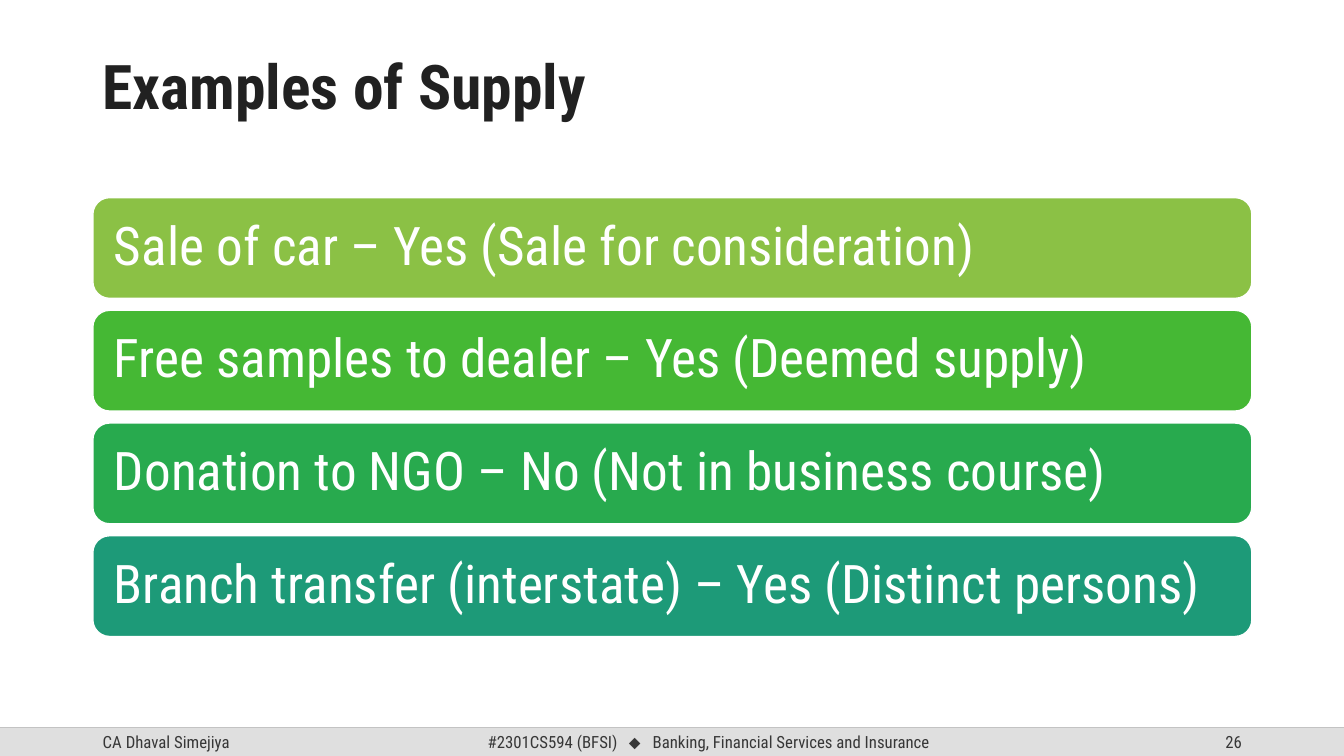
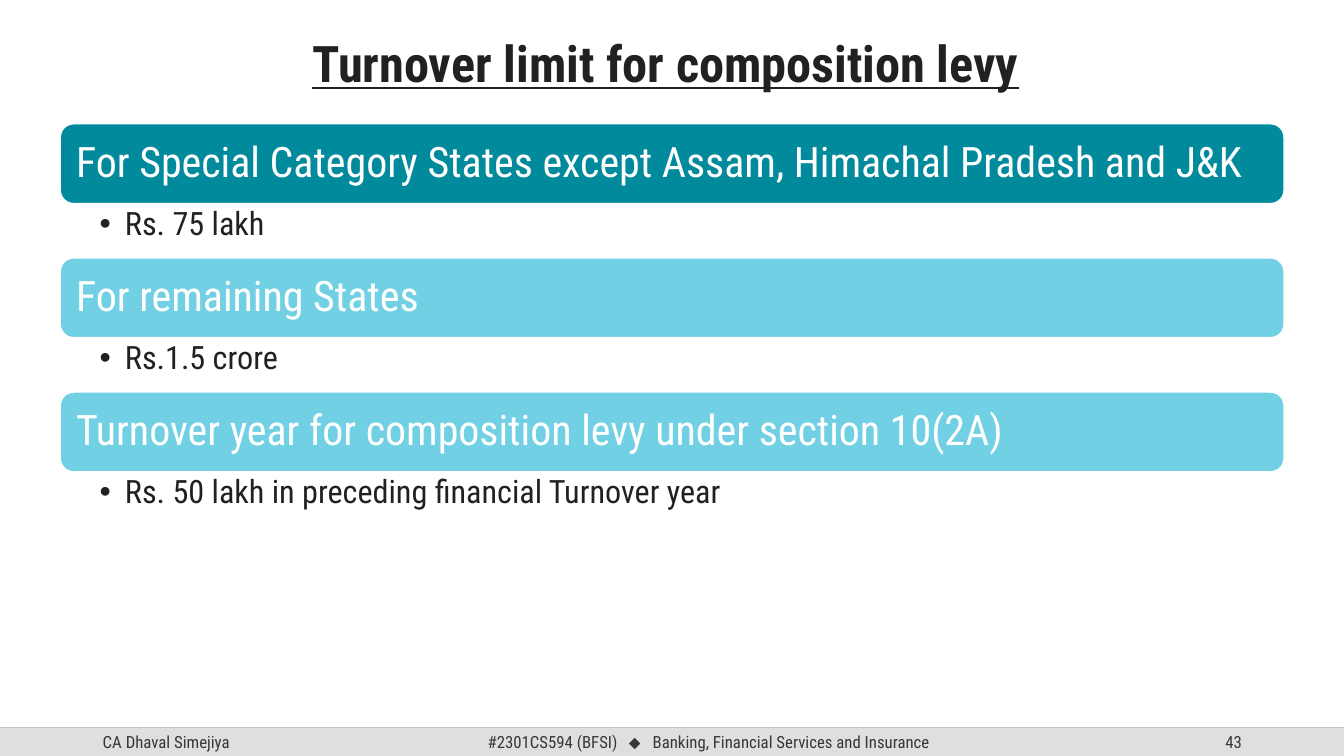
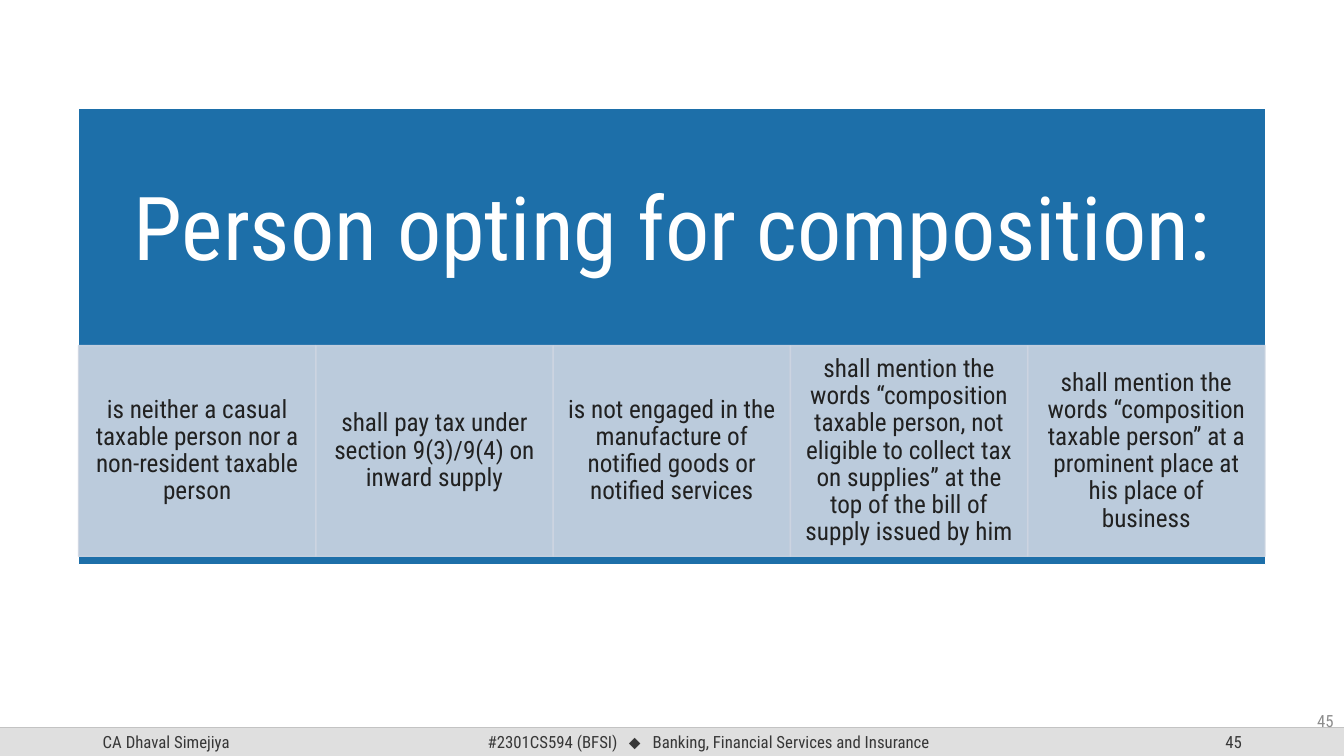
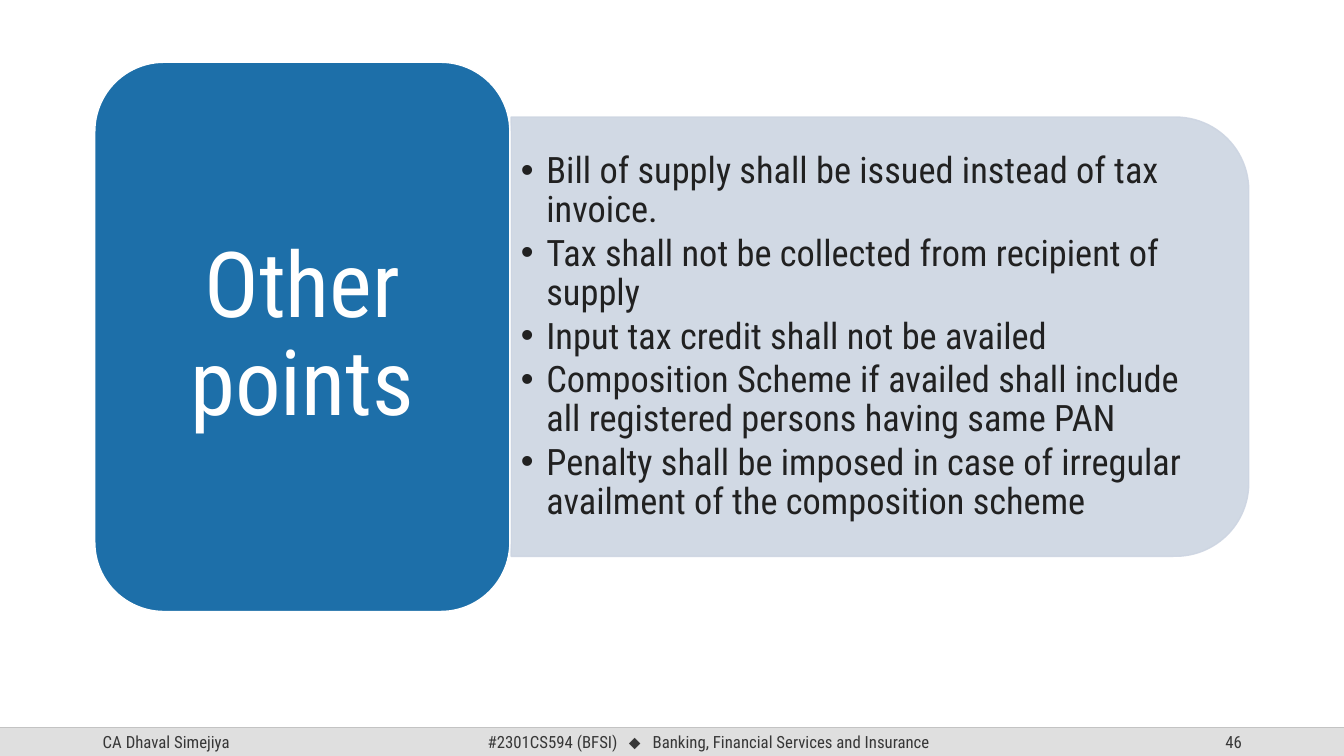
"""Build four slides on supply and the composition levy."""
from lxml.etree import SubElement as Sub
from pptx import Presentation
from pptx.dml.color import RGBColor
from pptx.enum.shapes import MSO_CONNECTOR as Link, MSO_SHAPE as Kind
from pptx.enum.text import MSO_ANCHOR as Anchor, PP_ALIGN as Align
from pptx.oxml.ns import qn
from pptx.util import Cm, Pt

FONT = "Roboto Condensed"
WHITE, INK, GREY, PALE, BLUE = "FFFFFF", "212121", "373737", "CDD5E2", "1D6FA9"
WIDE, HIGH, FOOT = 33.87, 19.05, 18.34
hue = RGBColor.from_string


def draw(slide, kind, at, fill, line=None, alpha=None):
    """Add a filled shape, with an outline and opacity if given."""
    shape = slide.shapes.add_shape(kind, *map(Cm, at))
    shape.shadow.inherit = False
    shape.fill.solid()
    shape.fill.fore_color.rgb = hue(fill)
    if line:
        shape.line.color.rgb = hue(line)
        shape.line.width = Pt(1)
    else:
        shape.line.fill.background()
    if alpha:
        for tint in shape._element.spPr.iter(qn("a:srgbClr")):
            Sub(tint, qn("a:alpha"), val=str(alpha * 1000))
    return shape


def write(shape, lines, size, color, align=Align.LEFT, inset=(0.25, 0.13),
          anchor=Anchor.MIDDLE, bullet=False, face=FONT, space=0.9):
    """Fill a shape with styled paragraphs and return its text frame."""
    frame = shape.text_frame
    frame.word_wrap = True
    frame.vertical_anchor = anchor
    frame.margin_left = frame.margin_right = Cm(inset[0])
    frame.margin_top = frame.margin_bottom = Cm(inset[1])
    frame.text = "\n".join(lines)
    for para in frame.paragraphs:
        para.alignment = align
        para.line_spacing = space
        if bullet:
            para.space_after = Pt(3)
            props = para._p.get_or_add_pPr()
            props.set("marL", str(Cm(0.64)))
            props.set("indent", str(Cm(-0.64)))
            Sub(props, qn("a:buFont"), typeface="Arial")
            Sub(props, qn("a:buChar"), char="•")
        para.font.name = face
        para.font.size = Pt(size)
        para.font.color.rgb = hue(color)
    return frame


deck = Presentation()
deck.slide_width, deck.slide_height = Cm(WIDE), Cm(HIGH)
pages = []
for number in (26, 43, 45, 46):
    page = deck.slides.add_slide(deck.slide_layouts[6])
    pages.append(page)
    rule = page.shapes.add_connector(Link.STRAIGHT, 0, Cm(FOOT), Cm(WIDE), Cm(FOOT))
    rule.line.color.rgb = hue("BFBFBF")
    rule.line.width = Pt(1)
    Sub(rule._element.spPr, qn("a:effectLst"))
    draw(page, Kind.RECTANGLE, (0, FOOT, WIDE, HIGH - FOOT), "DFDFDF")
    for text, left, width, align, face in (
        ("CA Dhaval Simejiya", 2.34, 7.62, Align.LEFT, FONT),
        ("#2301CS594 (BFSI)", 12.04, 4, Align.LEFT, FONT),
        ("⬥", 15.5, 1, Align.CENTER, "Arial"),
        ("Banking, Financial Services and Insurance", 16.2, 8, Align.LEFT, FONT),
        (str(number), 23.93, 7.62, Align.RIGHT, FONT),
    ):
        box = page.shapes.add_textbox(Cm(left), Cm(FOOT), Cm(width), Cm(HIGH - FOOT))
        write(box, [text], 12, GREY, align, face=face, space=1)

supply, limit, person, other = pages

box = supply.shapes.add_textbox(Cm(2.34), Cm(0.41), Cm(29.21), Cm(3.68))
title = write(box, ["Examples of Supply"], 44, INK)
title.paragraphs[0].font.bold = True
for row, (text, fill) in enumerate((
    ("Sale of car – Yes (Sale for consideration)", "8BC145"),
    ("Free samples to dealer – Yes (Deemed supply)", "45B834"),
    ("Donation to NGO – No (Not in business course)", "28AA4E"),
    ("Branch transfer (interstate) – Yes (Distinct persons)", "1D9A78"),
)):
    bar = draw(supply, Kind.ROUNDED_RECTANGLE,
               (2.34, 4.98 + row * 2.84, 29.21, 2.54), fill, WHITE)
    write(bar, [text], 38, WHITE, inset=(0.41, 0.41))

box = limit.shapes.add_textbox(Cm(7.62), Cm(0.69), Cm(18.64), Cm(1.8))
title = write(box, ["Turnover limit for composition levy"], 36, INK,
              anchor=Anchor.TOP, space=1)
title.paragraphs[0].font.bold = True
title.paragraphs[0].font.underline = True
for row, (text, note, fill) in enumerate((
    ("For Special Category States except Assam, Himachal Pradesh and J&K",
     "Rs. 75 lakh", "008A9C"),
    ("For remaining States", "Rs.1.5 crore", "71D0E4"),
    ("Turnover year for composition levy under section 10(2A)",
     "Rs. 50 lakh in preceding financial Turnover year", "71D0E4"),
)):
    top = 3.12 + row * 3.38
    bar = draw(limit, Kind.ROUNDED_RECTANGLE, (1.52, top, 30.84, 2.01), fill, WHITE)
    write(bar, [text], 30, WHITE, inset=(0.3, 0.3))
    box = limit.shapes.add_textbox(Cm(1.52), Cm(top + 2.01), Cm(30.84), Cm(1.37))
    write(box, [note], 23, INK, inset=(0.99, 0.1), anchor=Anchor.TOP, bullet=True)

box = person.shapes.add_textbox(Cm(26.24), Cm(17.65), Cm(7.62), Cm(1.02))
write(box, ["45"], 12, "8D8D8D", Align.RIGHT, space=1)
panel = draw(person, Kind.RECTANGLE, (1.98, 2.72, 29.92, 11.51), BLUE, WHITE)
head = write(panel, ["Person opting for composition:"], 63, WHITE, Align.CENTER,
             inset=(1, 0))
head.margin_bottom = Cm(5.28)
for col, text in enumerate((
    "is neither a casual taxable person nor a non-resident taxable person",
    "shall pay tax under section 9(3)/9(4) on inward supply",
    "is not engaged in the manufacture of notified goods or notified services",
    "shall mention the words “composition taxable person, not eligible to collect "
    "tax on supplies” at the top of the bill of supply issued by him",
    "shall mention the words “composition taxable person” at a prominent place "
    "at his place of business",
)):
    cell = draw(person, Kind.RECTANGLE, (1.98 + col * 5.98, 8.71, 5.98, 5.31),
                PALE, PALE, 90)
    write(cell, [text], 18, INK, Align.CENTER, inset=(0.36, 0.08))

panel = draw(other, Kind.ROUND_2_SAME_RECTANGLE, (16.64, -0.81, 11.07, 18.59),
             PALE, PALE, 90)
panel.rotation = 90
box = other.shapes.add_textbox(Cm(12.85), Cm(3.51), Cm(18.06), Cm(9.98))
write(box, [
    "Bill of supply shall be issued instead of tax invoice.",
    "Tax shall not be collected from recipient of supply",
    "Input tax credit shall not be availed",
    "Composition Scheme if availed shall include all registered persons having same PAN",
    "Penalty shall be imposed in case of irregular availment of the composition scheme",
], 26, INK, inset=(0.28, 0.13), bullet=True)
block = draw(other, Kind.ROUNDED_RECTANGLE, (2.39, 1.57, 10.46, 13.84), BLUE, WHITE)
write(block, ["Other points"], 65, WHITE, Align.CENTER, inset=(0.69, 0.36))

deck.save("out.pptx")
